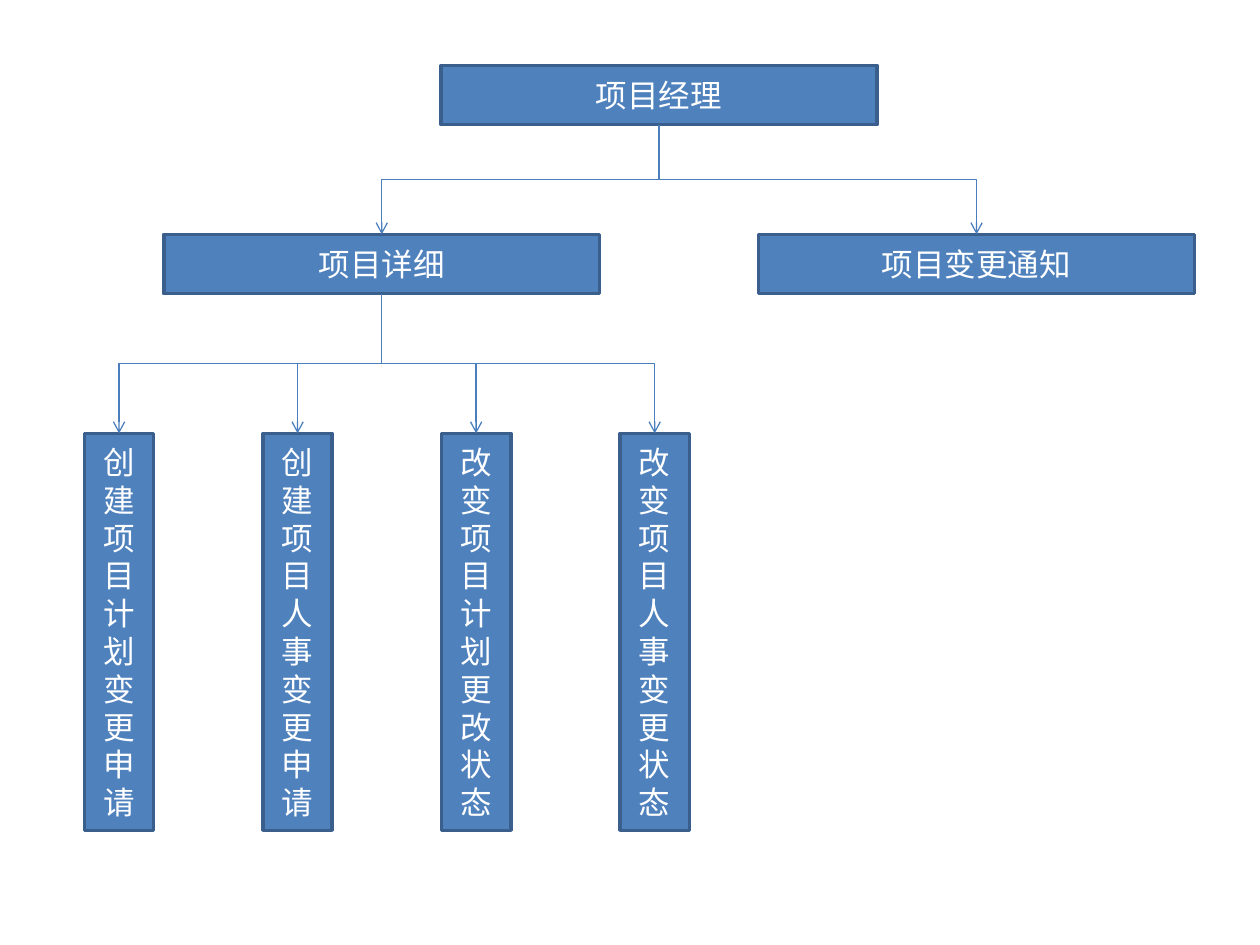
"""Build a slide with the project manager function tree."""
from lxml import etree
from pptx import Presentation
from pptx.dml.color import RGBColor
from pptx.enum.shapes import MSO_CONNECTOR, MSO_SHAPE
from pptx.enum.text import MSO_ANCHOR, PP_ALIGN
from pptx.oxml.ns import qn
from pptx.util import Inches, Pt

RECT = MSO_SHAPE.RECTANGLE
ELBOW = MSO_CONNECTOR.ELBOW
MIDDLE = MSO_ANCHOR.MIDDLE
CENTER = PP_ALIGN.CENTER
BOTTOM, TOP = 2, 0

COLORS = {"fill": "4F81BD", "edge": "3A5F8C", "link": "4B7EBC", "text": "FFFFFF"}
FONT = {"name": "Calibri", "size": Pt(18)}
WIDE, TALL = (3.46, 0.47), (0.55, 3.15)
LEFT, STEP, LEAF_TOP = 0.67, 1.417, 3.44

ROOT = ("项目经理", 3.5, 0.52)
BRANCHES = [("项目详细", 1.3, 1.86), ("项目变更通知", 6.02, 1.86)]
LEAVES = ["创建项目计划变更申请", "创建项目人事变更申请",
          "改变项目计划更改状态", "改变项目人事变更状态"]


def color(name):
    return RGBColor.from_string(COLORS[name])


def add_box(slide, text, left, top, size):
    box = slide.shapes.add_shape(RECT, *map(Inches, (left, top, *size)))
    box.shadow.inherit = False
    box.fill.solid()
    box.fill.fore_color.rgb = color("fill")
    box.line.color.rgb = color("edge")
    box.line.width = Pt(2)
    frame = box.text_frame
    frame.word_wrap = True
    frame.vertical_anchor = MIDDLE
    par = frame.paragraphs[0]
    par.alignment = CENTER
    run = par.add_run()
    run.text = text
    for key, value in FONT.items():
        setattr(run.font, key, value)
    run.font.color.rgb = color("text")
    return box


def add_link(slide, upper, lower):
    x1, y1 = upper.left + upper.width // 2, upper.top + upper.height
    x2, y2 = lower.left + lower.width // 2, lower.top
    link = slide.shapes.add_connector(ELBOW, x1, y1, x2, y2)
    link.begin_connect(upper, BOTTOM)
    link.end_connect(lower, TOP)
    wide, high = y2 - y1, abs(x2 - x1)
    place = {"left": (x1 + x2 - wide) // 2, "top": (y1 + y2 - high) // 2,
             "width": wide, "height": high}
    for key, value in place.items():
        setattr(link, key, value)
    right = x2 > x1
    props = link._element.spPr
    turn = {"rot": "16200000" if right else "5400000",
            "flipH": "1" if right else "0", "flipV": "0"}
    for key, value in turn.items():
        props.find(qn("a:xfrm")).set(key, value)
    link.line.color.rgb = color("link")
    link.line.width = Pt(0.75)
    etree.SubElement(props.find(qn("a:ln")), qn("a:tailEnd"), type="arrow")
    etree.SubElement(props, qn("a:effectLst"))


def main():
    deck = Presentation()
    deck.slide_width, deck.slide_height = Inches(10), Inches(7.5)
    slide = deck.slides.add_slide(deck.slide_layouts[6])
    root = add_box(slide, *ROOT, WIDE)
    nodes = [add_box(slide, *branch, WIDE) for branch in BRANCHES]
    leaves = [add_box(slide, text, LEFT + i * STEP, LEAF_TOP, TALL)
              for i, text in enumerate(LEAVES)]
    for upper, group in ((root, nodes), (nodes[0], leaves)):
        for lower in group:
            add_link(slide, upper, lower)
    deck.save("out.pptx")


if __name__ == "__main__":
    main()
